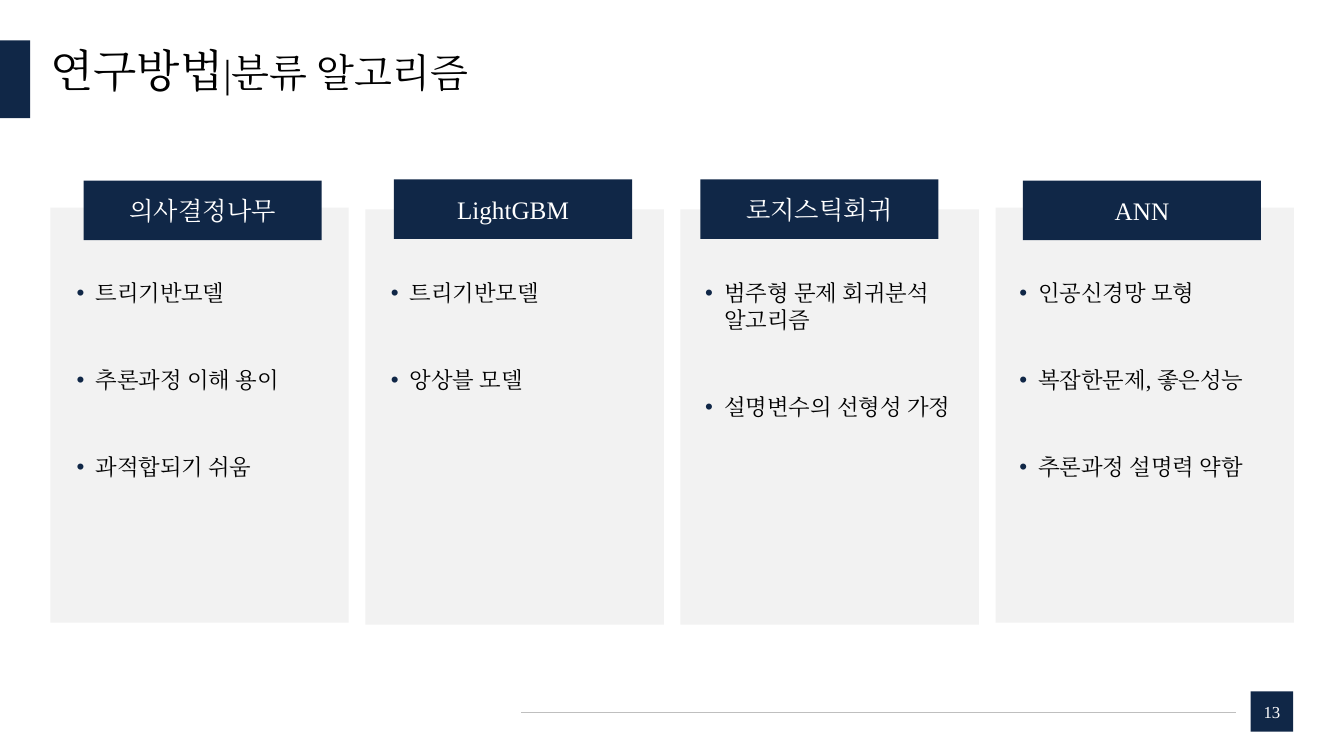
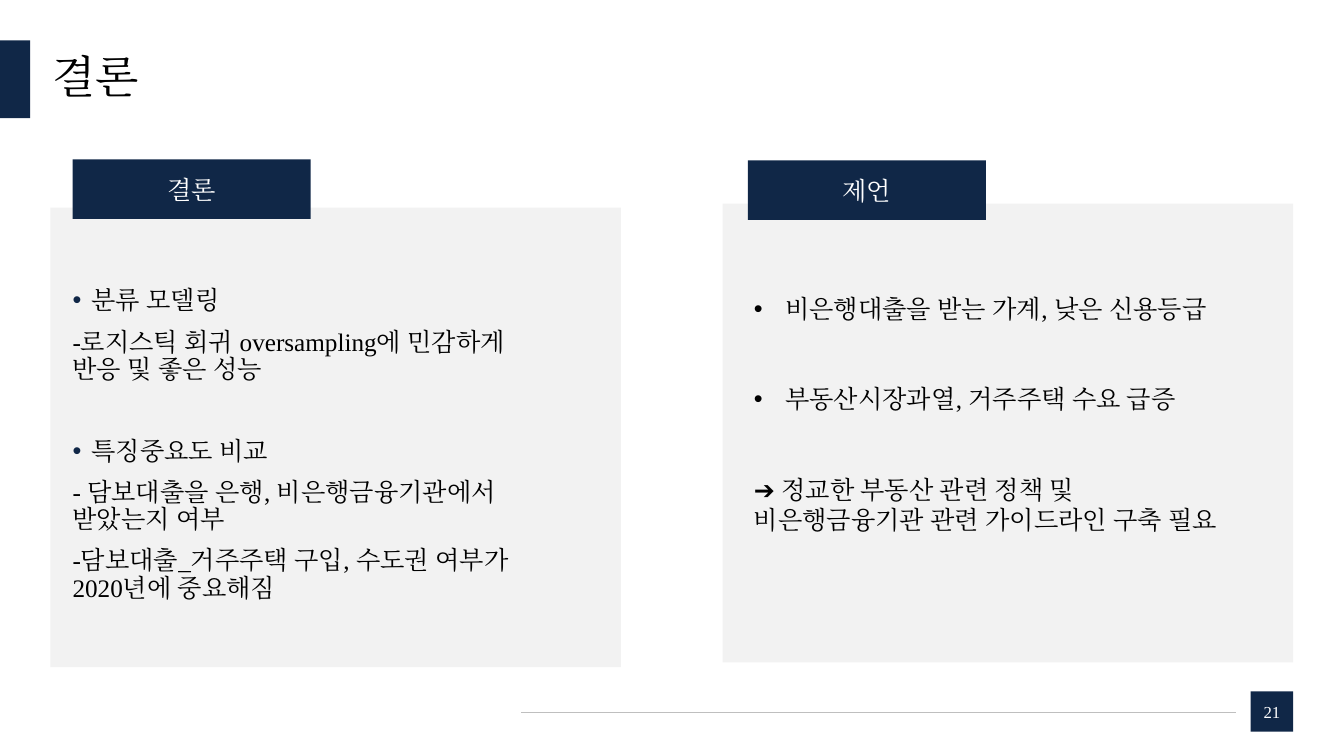
from lxml.etree import SubElement
from pptx import Presentation
from pptx.dml.color import RGBColor
from pptx.enum.shapes import MSO_CONNECTOR, MSO_SHAPE
from pptx.enum.text import MSO_ANCHOR as Anchor, PP_ALIGN as Align
from pptx.oxml.ns import qn
from pptx.util import Cm, Pt

NAVY = RGBColor(0x10, 0x27, 0x47)
PANEL = RGBColor(0xF2, 0xF2, 0xF2)
RULE = RGBColor(0xBF, 0xBF, 0xBF)
BLACK = RGBColor(0, 0, 0)
WHITE = RGBColor(0xFF, 0xFF, 0xFF)
FONT = "Times New Roman"

ALGORITHMS_TITLE = [("연구방법", 32), ("|분류 알고리즘", 28)]
ALGORITHMS = [
    ("의사결정나무", ["트리기반모델", "추론과정 이해 용이", "과적합되기 쉬움"]),
    ("LightGBM", ["트리기반모델", "앙상블 모델"]),
    ("로지스틱회귀", ["범주형 문제 회귀분석 알고리즘", "설명변수의 선형성 가정"]),
    ("ANN", ["인공신경망 모형", "복잡한문제, 좋은성능", "추론과정 설명력 약함"]),
]
LABEL_LEFTS = [2.11, 9.93, 17.65, 25.78]
OUTER_TOPS = {"panel": 5.23, "label": 4.55}
INNER_TOPS = {"panel": 5.28, "label": 4.52}

CONCLUSION_TITLE = [("결론", 32)]
FINDINGS = [
    ("분류 모델링", True, 0),
    ("-로지스틱 회귀 oversampling에 민감하게 반응 및 좋은 성능", False, 10),
    ("특징중요도 비교", True, 39),
    ("- 담보대출을 은행, 비은행금융기관에서 받았는지 여부", False, 10),
    ("-담보대출_거주주택 구입, 수도권 여부가 2020년에 중요해짐", False, 10),
]
SUGGESTIONS = [
    ("비은행대출을 받는 가계, 낮은 신용등급", True, 0),
    ("부동산시장과열, 거주주택 수요 급증", True, 43),
    ("➔ 정교한 부동산 관련 정책 및 비은행금융기관 관련 가이드라인 구축 필요", False, 43),
]


def apply(target, values):
    for name, value in values.items():
        setattr(target, name, value)


def add_run(paragraph, text, size, color=BLACK):
    run = paragraph.add_run()
    run.text = text
    run.font.color.rgb = color
    apply(run.font, {"size": Pt(size), "name": FONT})
    SubElement(run.font._element, qn("a:ea"), typeface=FONT)


def add_block(slide, box, color, text="", size=18):
    block = slide.shapes.add_shape(MSO_SHAPE.RECTANGLE, *map(Cm, box))
    block.shadow.inherit = False
    block.fill.solid()
    block.fill.fore_color.rgb = color
    block.line.fill.background()
    if text:
        block.text_frame.vertical_anchor = Anchor.MIDDLE
        paragraph = block.text_frame.paragraphs[0]
        paragraph.alignment = Align.CENTER
        add_run(paragraph, text, size, WHITE)


def add_frame(slide, box, anchor=Anchor.TOP, inset=(0, 0)):
    frame = slide.shapes.add_textbox(*map(Cm, box)).text_frame
    side, end = map(Cm, inset)
    apply(frame, {"word_wrap": True, "vertical_anchor": anchor,
                  "margin_left": side, "margin_right": side,
                  "margin_top": end, "margin_bottom": end})
    return frame


def add_bullet(paragraph, indent, color):
    properties = paragraph._p.get_or_add_pPr()
    properties.set("marL", str(Cm(indent)))
    properties.set("indent", str(-Cm(indent)))
    if color is not None:
        holder = SubElement(properties, qn("a:buClr"))
        SubElement(holder, qn("a:srgbClr"), val=str(color))
    SubElement(properties, qn("a:buFont"), typeface="Arial")
    SubElement(properties, qn("a:buChar"), char="•")


def add_points(frame, points, size, indent=0.48, bullet_color=NAVY, spacing=1.0):
    for number, (text, bulleted, gap) in enumerate(points):
        paragraph = frame.add_paragraph() if number else frame.paragraphs[0]
        if bulleted:
            add_bullet(paragraph, indent, bullet_color)
        apply(paragraph, {"line_spacing": spacing, "space_before": Pt(gap)})
        add_run(paragraph, text, size)


def add_base(deck, title, title_at, page):
    slide = deck.slides.add_slide(deck.slide_layouts[6])
    frame = add_frame(slide, (*title_at, 31.27, 1.96), Anchor.MIDDLE)
    frame.paragraphs[0].line_spacing = 0.9
    for text, size in title:
        add_run(frame.paragraphs[0], text, size)
    add_block(slide, (0, 1.02, 0.76, 1.96), NAVY)
    add_block(slide, (31.52, 17.42, 1.07, 1.02), NAVY, page, 12)
    rule = slide.shapes.add_connector(
        MSO_CONNECTOR.STRAIGHT, *map(Cm, (13.13, 17.94, 31.14, 17.94)))
    rule.line.color.rgb = RULE
    rule.line.width = Pt(0.5)
    SubElement(rule._element.spPr, qn("a:effectLst"))
    return slide


def add_card(slide, panel, label_at, label):
    add_block(slide, panel, PANEL)
    add_block(slide, (*label_at, 6, 1.5), NAVY, label)


def build_algorithms(deck):
    slide = add_base(deck, ALGORITHMS_TITLE, (1.27, 0.86), "13")
    last = len(ALGORITHMS) - 1
    for column, (label, traits) in enumerate(ALGORITHMS):
        tops = OUTER_TOPS if column in (0, last) else INNER_TOPS
        add_card(slide, (1.27 + 7.94 * column, tops["panel"], 7.52, 10.46),
                 (LABEL_LEFTS[column], tops["label"]), label)
        frame = add_frame(slide, (1.93 + 7.92 * column, 7.04, 6.2, 6.25))
        points = [(trait, True, 43 if row else 0) for row, trait in enumerate(traits)]
        add_points(frame, points, 16)


def build_conclusion(deck):
    slide = add_base(deck, CONCLUSION_TITLE, (1.32, 1.02), "21")
    add_card(slide, (1.27, 5.23, 14.38, 11.58), (1.83, 4.02), "결론")
    add_card(slide, (18.21, 5.13, 14.38, 11.56), (18.85, 4.04), "제언")
    findings = add_frame(slide, (1.83, 7.26, 12.24, 8.03))
    add_points(findings, FINDINGS, 18, spacing=0.9)
    suggestions = add_frame(slide, (18.75, 7.26, 12.75, 6.4), inset=(0.25, 0.13))
    add_points(suggestions, SUGGESTIONS, 18, indent=0.79, bullet_color=None)


def main():
    deck = Presentation()
    apply(deck, {"slide_width": Cm(33.87), "slide_height": Cm(19.05)})
    build_algorithms(deck)
    build_conclusion(deck)
    deck.save("out.pptx")


if __name__ == "__main__":
    main()
